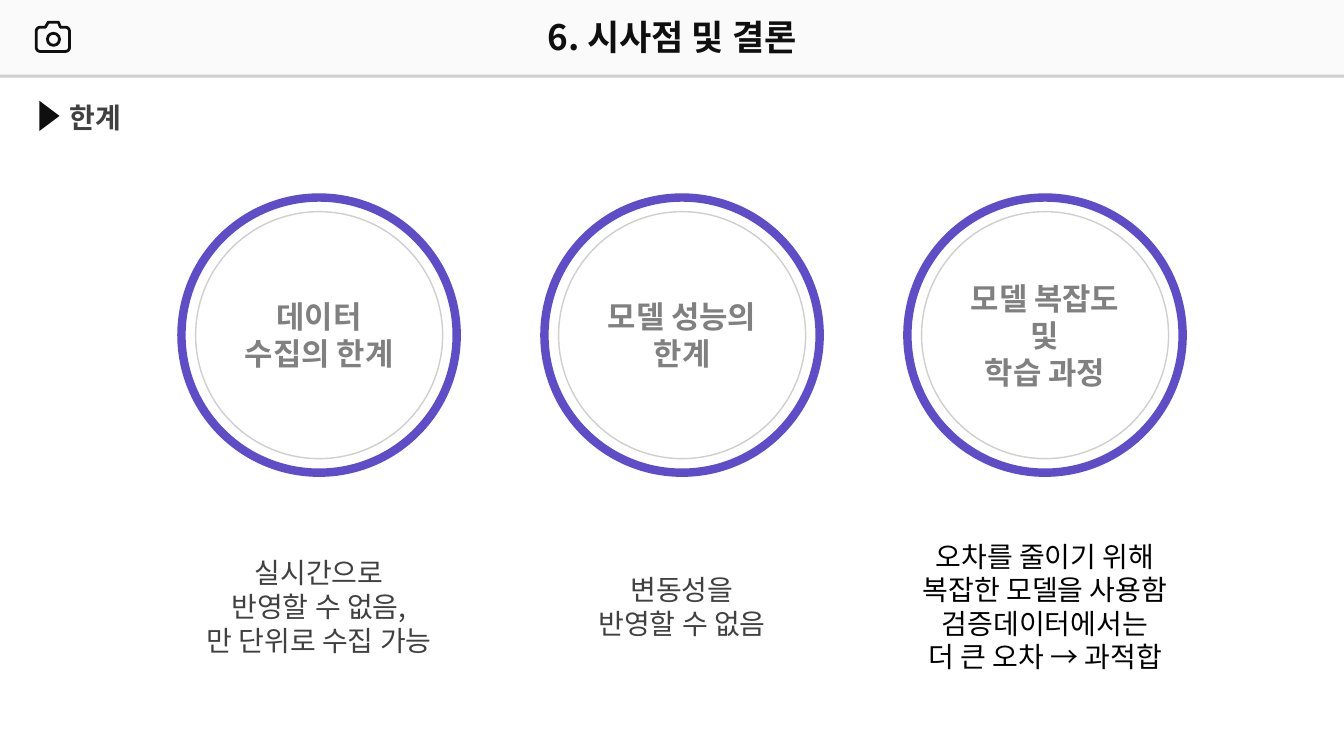
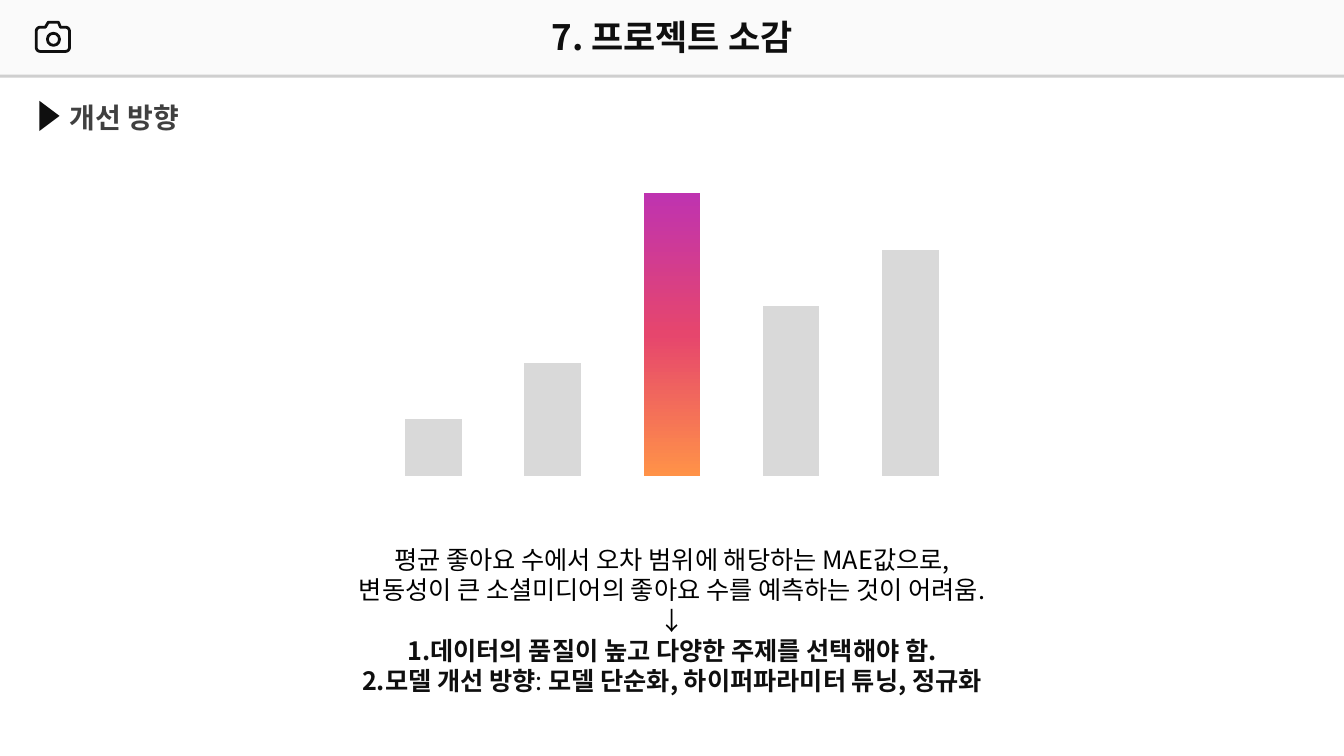
from copy import deepcopy
from math import cos, radians, sin

from lxml import etree
from pptx import Presentation
from pptx.chart.data import CategoryChartData
from pptx.dml.color import RGBColor
from pptx.enum.chart import XL_CHART_TYPE as ChartType
from pptx.enum.shapes import MSO_SHAPE as Shape
from pptx.enum.text import MSO_ANCHOR as Anchor, MSO_AUTO_SIZE as AutoSize, PP_ALIGN as Align
from pptx.oxml import parse_xml
from pptx.oxml.ns import nsdecls, qn
from pptx.util import Inches, Pt

FONT = "Noto Sans CJK KR"
COLORS = {
    "ink": "0F0F0F", "band": "FAFAFA", "edge": "CFCFCF", "ring": "5F4CC8",
    "heading": "404040", "label": "808080", "black": "000000", "bar": "D9D9D9",
    "orange": "FF9248", "pink": "E6466D", "purple": "BF33B0",
}
WIDTH, HEIGHT = 13.33, 7.5
TITLE_ONLY, TITLE_AND_BODY = 5, 1


def color(name):
    return RGBColor.from_string(COLORS[name])


# Text
def style_font(p, size, ink, bold=False):
    p.font.size, p.font.bold, p.font.name = Pt(size), bold, FONT
    p.font.color.rgb = color(ink)
    latin = p._p.pPr.find(qn("a:defRPr")).find(qn("a:latin"))
    east_asian = etree.Element(qn("a:ea"), typeface=FONT)
    latin.addnext(east_asian)


def set_text(sp, lines, size, ink, bold=False, align=Align.CENTER, wrap=True):
    tf = sp.text_frame
    tf.text = "\n".join(lines)
    tf.word_wrap, tf.auto_size = wrap, AutoSize.NONE
    tf.vertical_anchor = Anchor.MIDDLE
    for p in tf.paragraphs:
        p.alignment = align
        p.space_before = Pt(0)
        style_font(p, size, ink, bold)
    return tf


def add_text(s, box, lines, size, ink, **style):
    return set_text(s.shapes.add_textbox(*map(Inches, box)), lines, size, ink, **style)


def place(sp, box):
    sp.left, sp.top, sp.width, sp.height = map(Inches, box)


def set_bullet(p, tag, **attributes):
    pPr = p._p.get_or_add_pPr()
    pPr.set("marL", "0")
    pPr.set("indent", "0")
    bullet = etree.Element(qn(tag), **attributes)
    pPr.find(qn("a:defRPr")).addprevious(bullet)


# Shapes
def paint(sp, fill=None, line=None, weight=1):
    sp.shadow.inherit = False
    if fill:
        sp.fill.solid()
        sp.fill.fore_color.rgb = color(fill)
    else:
        sp.fill.background()
    if line:
        sp.line.color.rgb = color(line)
        sp.line.width = Pt(weight)
    else:
        sp.line.fill.background()
    return sp


def add_shape(s, kind, box, **look):
    return paint(s.shapes.add_shape(kind, *map(Inches, box)), **look)


def corner(x, y, radius, start):
    """Points of a clockwise quarter turn about (x, y)."""
    angles = [radians(start + step * 15) for step in range(7)]
    return [(x + radius * cos(a), y + radius * sin(a)) for a in angles]


def add_camera(s):
    left, right, top, bottom, radius = 0.36, 0.69, 0.27, 0.51, 0.04
    points = [(0.45, top), (0.48, 0.22), (0.58, 0.22), (0.6, top)]
    points += corner(right - radius, top + radius, radius, -90)
    points += corner(right - radius, bottom - radius, radius, 0)
    points += corner(left + radius, bottom - radius, radius, 90)
    points += corner(left + radius, top + radius, radius, 180)
    points = [(Inches(x), Inches(y)) for x, y in points]
    outline = s.shapes.build_freeform(*points[0])
    outline.add_line_segments(points[1:], close=True)
    paint(outline.convert_to_shape(), line="ink", weight=2)
    add_shape(s, Shape.OVAL, (0.47, 0.33, 0.12, 0.12), line="ink", weight=2)


# Frame shared by the slides
def add_slide(prs, layout, title, heading):
    s = prs.slides.add_slide(prs.slide_layouts[layout])
    add_shape(s, Shape.RECTANGLE, (0, 0.03, WIDTH, 0.74), fill="edge")
    add_shape(s, Shape.RECTANGLE, (0, 0, WIDTH, 0.74), fill="band")
    add_camera(s)
    title_sp = s.shapes.title
    place(title_sp, (0, 0.1, WIDTH, 0.52))
    set_text(title_sp, [title], 25, "ink", bold=True)
    s.shapes.element.append(title_sp.element)  # bring above the band
    marker = add_shape(s, Shape.ISOSCELES_TRIANGLE, (0.34, 1.05, 0.3, 0.2), fill="ink")
    marker.rotation = 90
    add_text(s, (0.59, 0.94, 3, 0.44), [heading], 20, "heading",
             bold=True, align=Align.LEFT)
    return s


# Limits slide
def add_limit(s, left, label, details, ink):
    size, inset = 2.73, 0.14
    inner = size - 2 * inset
    top = 1.96
    add_shape(s, Shape.OVAL, (left, top, size, size), line="ring", weight=6)
    disc = add_shape(s, Shape.OVAL, (left + inset, top + inset, inner, inner), line="edge")
    set_text(disc, label, 22, "label", bold=True, wrap=False)
    add_text(s, (left, 5.29, size, 1.45), details, 20, ink)


def build_limits(prs):
    s = add_slide(prs, TITLE_ONLY, "6. 시사점 및 결론", "한계")
    limits = [
        (["데이터", "수집의 한계"],
         ["실시간으로", "반영할 수 없음,", "만 단위로 수집 가능"], "heading"),
        (["모델 성능의", "한계"], ["변동성을", "반영할 수 없음"], "heading"),
        (["모델 복잡도", "및", "학습 과정"],
         ["오차를 줄이기 위해", "복잡한 모델을 사용함", "검증데이터에서는",
          "더 큰 오차 → 과적합"], "black"),
    ]
    for i, limit in enumerate(limits):
        add_limit(s, 1.8 + 3.6 * i, *limit)


# Improvements slide
def fill_gradient(fill, names):
    fill.gradient()
    fill.gradient_angle = 90
    last = fill.gradient_stops[-1]._gs
    last.addnext(deepcopy(last))
    for i, (stop, name) in enumerate(zip(fill.gradient_stops, names)):
        stop.position = i / (len(names) - 1)
        stop.color.rgb = color(name)


def set_plot_area(chart, x, y, w, h):
    parts = "".join(f'<c:{tag} val="{value}"/>' for tag, value in (
        ("layoutTarget", "inner"), ("xMode", "edge"), ("yMode", "edge"),
        ("x", x), ("y", y), ("w", w), ("h", h)))
    layout = parse_xml(
        f'<c:layout {nsdecls("c")}><c:manualLayout>{parts}</c:manualLayout></c:layout>')
    plot_area = chart.element.find(".//" + qn("c:plotArea"))
    for old in plot_area.findall(qn("c:layout")):
        plot_area.remove(old)
    plot_area.insert(0, layout)


def add_bars(s, box, values, highlight):
    data = CategoryChartData()
    data.categories = [str(i + 1) for i in range(len(values))]
    data.add_series("Series 1", values)
    chart = s.shapes.add_chart(ChartType.COLUMN_CLUSTERED, *map(Inches, box), data).chart
    chart.has_legend = chart.has_title = False
    chart.font.name, chart.font.size = FONT, Pt(10)
    chart.font.color.rgb = color("black")
    axis = chart.value_axis
    axis.minimum_scale, axis.maximum_scale = 0, 120
    axis.has_major_gridlines = False
    axis.visible = chart.category_axis.visible = False
    plot = chart.plots[0]
    plot.vary_by_categories = False
    plot.gap_width, plot.overlap = 110, -27
    series = plot.series[0]
    series.invert_if_negative = False
    series.format.fill.solid()
    series.format.fill.fore_color.rgb = color("bar")
    fill_gradient(series.points[highlight].format.fill, ["orange", "pink", "purple"])
    set_plot_area(chart, 0, 0.118, 1, 0.882)


def build_improvements(prs):
    s = add_slide(prs, TITLE_AND_BODY, "7. 프로젝트 소감", "개선 방향")
    add_bars(s, (3.71, 0.91, 5.91, 3.81), [20, 40, 100, 60, 80], highlight=2)
    body = s.placeholders[1]
    place(body, (0.48, 5.34, 12.37, 1.62))
    tf = set_text(body, [
        "평균 좋아요 수에서 오차 범위에 해당하는 MAE값으로,",
        "변동성이 큰 소셜미디어의 좋아요 수를 예측하는 것이 어려움.",
        "↓",
        "데이터의 품질이 높고 다양한 주제를 선택해야 함.",
        "모델 개선 방향",
    ], 18, "black")
    for p in tf.paragraphs[:3]:
        set_bullet(p, "a:buNone")
    for p in tf.paragraphs[3:]:
        set_bullet(p, "a:buAutoNum", type="arabicPeriod")
        p.font.bold = True
        p.font.color.rgb = color("ink")
    for text, bold in ((": ", False), ("모델 단순화, 하이퍼파라미터 튜닝, 정규화", True)):
        r = p.add_run()
        r.text, r.font.bold = text, bold


def main():
    prs = Presentation()
    prs.slide_width, prs.slide_height = Inches(WIDTH), Inches(HEIGHT)
    build_limits(prs)
    build_improvements(prs)
    prs.save("out.pptx")


if __name__ == "__main__":
    main()
